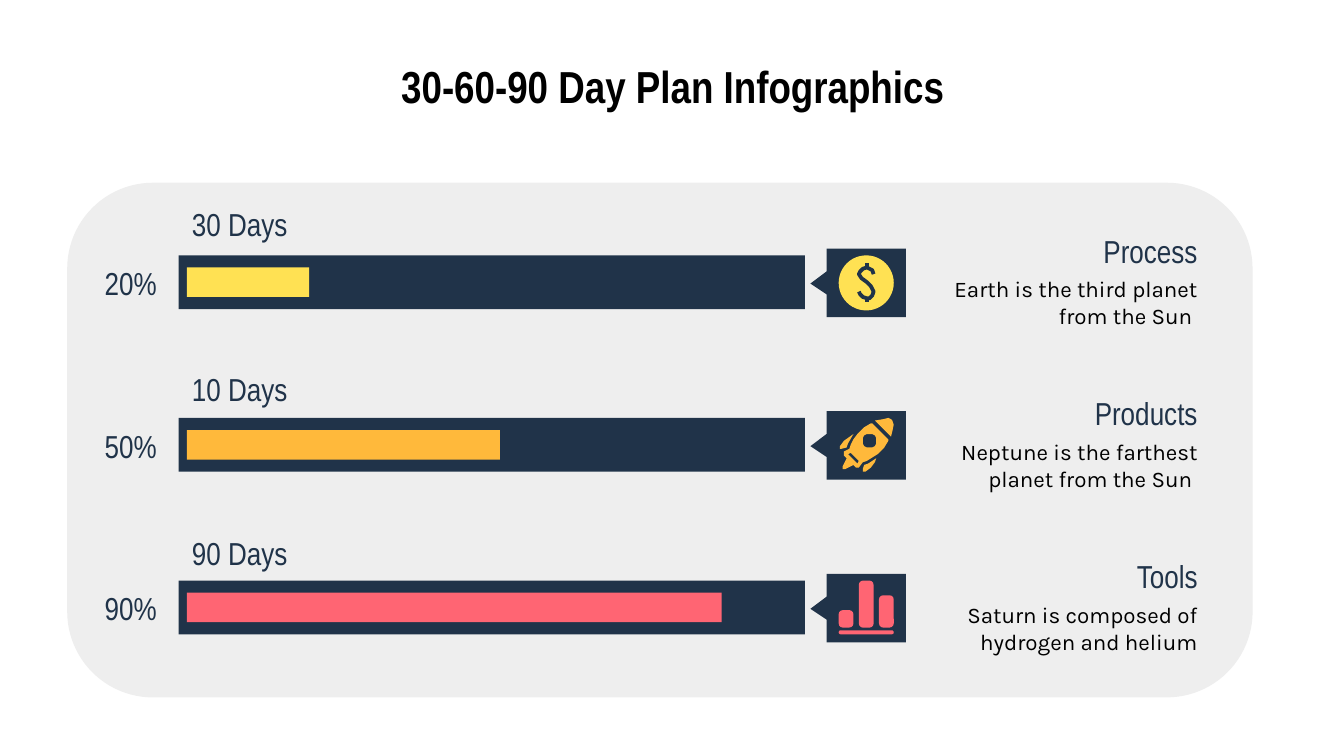
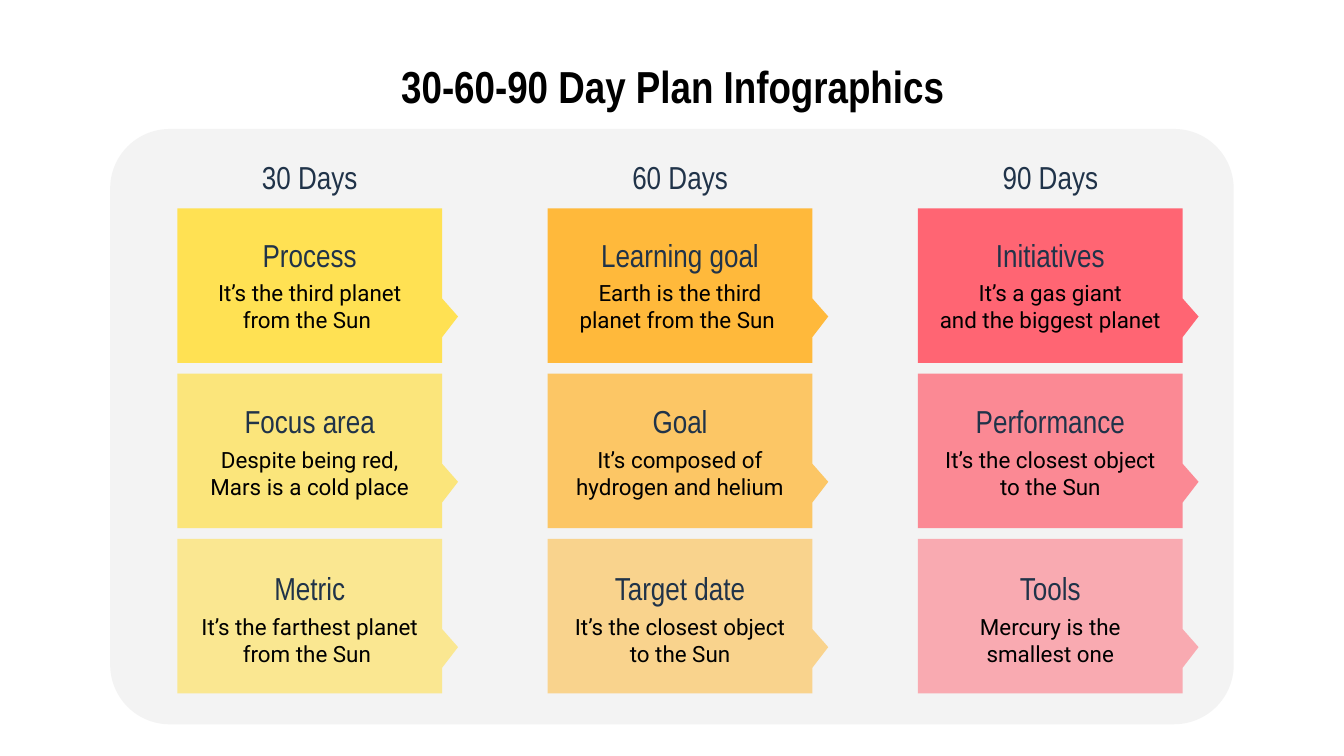
import math

from lxml import etree
from pptx import Presentation
from pptx import util as u
from pptx.dml.color import RGBColor
from pptx.enum import shapes, text
from pptx.oxml import ns

# Shared style
NAVY = RGBColor(0x20, 0x33, 0x49)
BLACK = RGBColor(0x00, 0x00, 0x00)
WHITE = RGBColor(0xFF, 0xFF, 0xFF)
PANEL = RGBColor(0xEE, 0xEE, 0xEE)
LIGHT_PANEL = RGBColor(0xF3, 0xF3, 0xF3)
YELLOW = RGBColor(0xFF, 0xE1, 0x53)
ORANGE = RGBColor(0xFF, 0xB9, 0x3B)
CORAL = RGBColor(0xFF, 0x65, 0x73)
HEADING_FONT = "Arial Narrow"
TITLE = "30-60-90 Day Plan Infographics"
LEFT, CENTER, RIGHT = text.PP_ALIGN.LEFT, text.PP_ALIGN.CENTER, text.PP_ALIGN.RIGHT
TOP, MIDDLE = text.MSO_ANCHOR.TOP, text.MSO_ANCHOR.MIDDLE
GEOMETRY = shapes.MSO_SHAPE
UNIT = u.Inches(0.01)  # icon outlines are drawn in hundredths of an inch

# Progress rows: duration, share, bar length, colour, heading, description
PROGRESS = [
    ("30 Days", "20%", 0.91, YELLOW, "Process", "Earth is the third planet from the Sun "),
    ("10 Days", "50%", 2.33, ORANGE, "Products", "Neptune is the farthest planet from the Sun "),
    ("90 Days", "90%", 3.98, CORAL, "Tools", "Saturn is composed of hydrogen and helium"),
]
ROW_STEP = 2.42 / 2
DURATION_STEP = 2.45 / 2

# Plan columns: duration, colour, then heading, description and opacity per card
PLAN = [
    ("30 Days", YELLOW, [
        ("Process", "It’s the third planet from the Sun ", 100),
        ("Focus area", "Despite being red,\nMars is a cold place", 75),
        ("Metric", "It’s the farthest planet from the Sun ", 61)]),
    ("60 Days", ORANGE, [
        ("Learning goal", "Earth is the third planet from the Sun ", 100),
        ("Goal", "It’s composed of hydrogen and helium", 77),
        ("Target date", "It’s the closest object to the Sun", 55)]),
    ("90 Days", CORAL, [
        ("Initiatives", "It’s a gas giant\nand the biggest planet", 100),
        ("Performance", "It’s the closest object to the Sun", 74),
        ("Tools", "Mercury is the smallest one", 51)]),
]
COLUMN_STEP = 5.51 / 2

# Outlines
TAG = [(12, 0), (12, 17), (0, 26), (12, 34), (12, 51), (71, 51), (71, 0)]
DOLLAR = [
    [(26, 14), (25, 11), (23, 10), (21, 9), (18, 10), (16, 12), (15, 14), (17, 17),
     (21, 20), (24, 23), (26, 27), (25, 30), (23, 32), (21, 32), (18, 31), (16, 29), (15, 27)],
    [(21, 6), (21, 9)],
    [(21, 32), (21, 35)],
]
ROCKET_BODY = [
    (24, 4), (19, 7), (14, 12), (11, 16), (9, 20), (8, 23), (4, 25), (4, 28), (6, 30),
    (3, 36), (3, 38), (5, 38), (11, 35), (13, 37), (15, 37), (18, 33), (21, 32),
    (29, 27), (34, 22), (37, 17), (37, 16), (25, 4)]
ROCKET_SLIT = [(9, 26), (15, 32), (14, 34), (7, 27)]
ROCKET_WINDOW = [(round(23 + 5.5 * math.cos(a * math.pi / 8)),
                  round(17 + 5.5 * math.sin(a * math.pi / 8))) for a in range(16)]
ROCKET_NOSE = [(37, 0), (33, 1), (27, 2), (39, 14), (40, 10), (41, 5), (40, 2), (39, 1)]
ROCKET_FINS = [
    [(28, 30), (22, 34), (19, 35), (18, 38), (18, 40), (20, 40), (24, 37), (27, 33)],
    [(11, 12), (4, 17), (1, 21), (1, 23), (2, 23), (6, 22), (7, 19)],
]
PILLARS = [(0, 0.22, 0.11, 0.13), (0.15, 0, 0.11, 0.35), (0.3, 0.11, 0.11, 0.24)]


def paint(shape, colour, opacity=100):
    shape.shadow.inherit = False
    shape.line.fill.background()
    shape.fill.solid()
    shape.fill.fore_color.rgb = colour
    if opacity < 100:
        tint = shape.fill._xPr.find(".//" + ns.qn("a:srgbClr"))
        etree.SubElement(tint, ns.qn("a:alpha")).set("val", str(opacity * 1000))


def add_block(slide, geometry, box, colour, adjustments=(), opacity=100):
    block = slide.shapes.add_shape(geometry, *map(u.Inches, box))
    for index, value in enumerate(adjustments):
        block.adjustments[index] = value
    paint(block, colour, opacity)
    return block


def add_outline(slide, x, y, contours, colour, closed=True):
    """Filled outline with optional holes, or open strokes when not closed."""
    builder = slide.shapes.build_freeform(*contours[0][0], scale=UNIT)
    for index, contour in enumerate(contours):
        if index:
            builder.move_to(*contour[0])
        builder.add_line_segments(contour[1:], close=closed)
    outline = builder.convert_to_shape(u.Inches(x), u.Inches(y))
    paint(outline, colour)
    if not closed:
        outline.fill.background()
        outline.line.color.rgb = colour
        outline.line.width = u.Pt(2)


def add_text(slide, box, words, align, size, font, colour, bold=False, anchor=MIDDLE):
    frame = slide.shapes.add_textbox(*map(u.Inches, box)).text_frame
    frame.word_wrap = True
    frame.vertical_anchor = anchor
    frame.margin_left = frame.margin_right = u.Inches(0.1)
    frame.margin_top = frame.margin_bottom = u.Inches(0.1)
    paragraph = frame.paragraphs[0]
    paragraph.alignment = align
    for index, line in enumerate(words.split("\n")):
        if index:
            paragraph.add_line_break()
        run = paragraph.add_run()
        run.text = line
        run.font.size, run.font.name, run.font.bold = u.Pt(size), font, bold
        run.font.color.rgb = colour


def add_heading(slide, x, y, width, words, align):
    add_text(slide, (x, y, width, 0.47), words, align, 17, HEADING_FONT, NAVY)


def add_topic(slide, x, y, width, heading, description, align, font):
    add_heading(slide, x, y, width, heading, align)
    add_text(slide, (x, y + 0.33, width, 0.58), description, align, 12, font, BLACK)


def add_slide(deck, panel_box, panel_colour, corner):
    slide = deck.slides.add_slide(deck.slide_layouts[6])
    slide.background.fill.solid()
    slide.background.fill.fore_color.rgb = WHITE
    add_block(slide, GEOMETRY.ROUNDED_RECTANGLE, panel_box, panel_colour, [corner])
    add_text(slide, (0.2, 0.34, 9.61, 0.63), TITLE, CENTER, 24, HEADING_FONT, BLACK,
             bold=True, anchor=TOP)
    return slide


# Icons
def add_coin(slide, x, y, colour):
    add_block(slide, GEOMETRY.OVAL, (x, y, 0.41, 0.41), colour)
    add_outline(slide, x, y, DOLLAR, NAVY, closed=False)


def add_rocket(slide, x, y, colour):
    add_outline(slide, x, y, [ROCKET_BODY, ROCKET_SLIT, ROCKET_WINDOW], colour)
    for part in [ROCKET_NOSE, *ROCKET_FINS]:
        add_outline(slide, x, y, [part], colour)


def add_pillars(slide, x, y, colour):
    rounded = GEOMETRY.ROUNDED_RECTANGLE
    add_block(slide, rounded, (x, y + 0.37, 0.41, 0.03), colour, [0.5])
    for dx, dy, width, height in PILLARS:
        add_block(slide, rounded, (x + dx, y + dy, width, height), colour, [0.28])


# Slides
def build_progress(deck):
    slide = add_slide(deck, (0.5, 1.36, 8.82, 3.83), PANEL, 1 / 6)
    icons = [add_coin, add_rocket, add_pillars]
    for row, (entry, add_icon) in enumerate(zip(PROGRESS, icons)):
        duration, share, length, colour, heading, description = entry
        top = 1.9 + ROW_STEP * row
        add_block(slide, GEOMETRY.RECTANGLE, (1.33, top, 4.66, 0.4), NAVY)
        add_block(slide, GEOMETRY.RECTANGLE, (1.39, top + 0.09, length, 0.22), colour)
        add_outline(slide, 6.03, top - 0.05, [TAG], NAVY)
        add_icon(slide, 6.24, top, colour)
        add_heading(slide, 0.68, top - 0.03, 0.7, share, LEFT)
        add_heading(slide, 1.33, 1.43 + DURATION_STEP * row, 1.17, duration, LEFT)
        add_topic(slide, 6.78, top - 0.27, 2.23, heading, description, RIGHT, "Karla")


def build_plan(deck):
    slide = add_slide(deck, (0.82, 0.96, 8.36, 4.43), LIGHT_PANEL, 0.1)
    for column, (duration, colour, cards) in enumerate(PLAN):
        x = 1.73 + COLUMN_STEP * column
        add_heading(slide, x, 1.08, 1.15, duration, CENTER)
        for row, (heading, description, opacity) in enumerate(cards):
            card = add_block(slide, GEOMETRY.RECTANGULAR_CALLOUT,
                             (x, 1.14 + 1.23 * row, 1.15, 1.97),
                             colour, [-0.2, 0.56], opacity)
            card.rotation = 270
            add_topic(slide, x - 0.37, 1.66 + 1.24 * row, 1.89,
                      heading, description, CENTER, "Roboto")


def main():
    deck = Presentation()
    deck.slide_width = u.Inches(10)
    deck.slide_height = u.Inches(10 * 9 / 16)
    build_progress(deck)
    build_plan(deck)
    deck.save("out.pptx")


if __name__ == "__main__":
    main()
